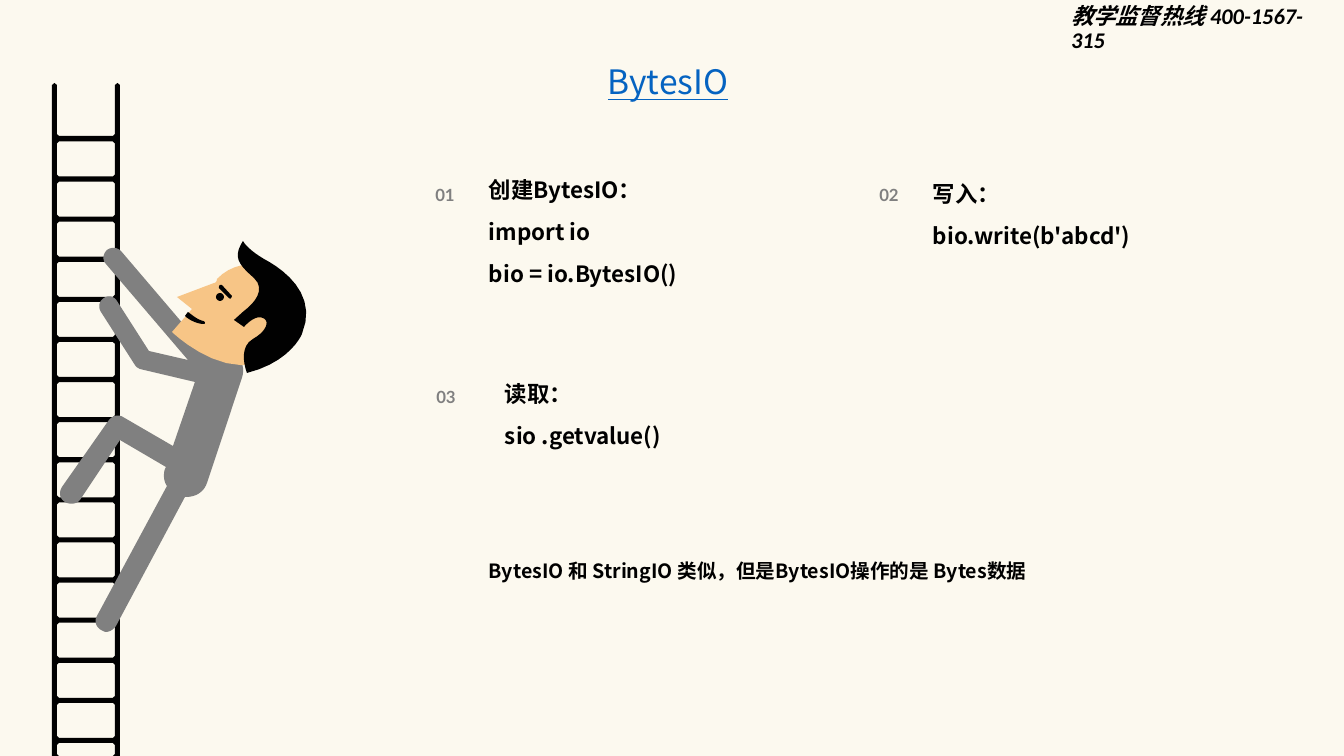
from dataclasses import dataclass

from pptx import Presentation
from pptx import util as u
from pptx.dml.color import RGBColor
from pptx.enum import shapes, text
from pptx.oxml import ns, xmlchemy

PX = 914400 / 100.8  # EMU per pixel


@dataclass(frozen=True)
class Theme:
    paper: str = "FCF9EF"
    ink: str = "000000"
    figure: str = "010101"
    suit: str = "808080"
    skin: str = "F7C586"
    link: str = "0563C1"
    main_font: str = "Noto Sans CJK SC"
    number_font: str = "Lato"
    hotline_font: str = "Calibri"
    title_size: int = 24
    step_size: int = 16
    note_size: int = 14
    number_size: int = 12
    line_pitch: int = 15


THEME = Theme()


def emu(pixels):
    return u.Emu(round(pixels * PX))


def paint(shape, color):
    shape.shadow.inherit = False
    shape.fill.solid()
    shape.fill.fore_color.rgb = RGBColor.from_string(color)
    shape.line.fill.background()


def outline(slide, origin, contours, color):
    """Draw closed contours, given as pixel points relative to origin."""
    placed = [[(emu(origin[0] + x), emu(origin[1] + y)) for x, y in contour]
              for contour in contours]
    builder = slide.shapes.build_freeform(*placed[0][0], scale=1.0)
    for index, contour in enumerate(placed):
        if index:
            builder.move_to(*contour[0])
        builder.add_line_segments(contour[1:], close=True)
    paint(builder.convert_to_shape(), color)


def trace(segments, steps=10):
    """Turn points (2 numbers) and Bezier curves (6 numbers) into one contour."""
    contour = []
    for segment in segments:
        if len(segment) == 2:
            contour.append(segment)
            continue
        (x0, y0), (x1, y1, x2, y2, x3, y3) = contour[-1], segment
        for t in (k / steps for k in range(1, steps + 1)):
            a, b, c, d = (1 - t) ** 3, 3 * t * (1 - t) ** 2, 3 * t * t * (1 - t), t ** 3
            contour.append((a * x0 + b * x1 + c * x2 + d * x3,
                            a * y0 + b * y1 + c * y2 + d * y3))
    return contour


def write(shape, box, words, font, size, color, insets=(10, 5), anchor=text.MSO_ANCHOR.TOP,
          align=text.PP_ALIGN.LEFT, spacing=None, gap=0, **style):
    """Place a text shape, fill it, and format its paragraphs and runs."""
    shape.left, shape.top, shape.width, shape.height = map(emu, box)
    frame = shape.text_frame
    frame.text = words
    frame.word_wrap = True
    frame.auto_size = text.MSO_AUTO_SIZE.NONE
    frame.vertical_anchor = anchor
    frame.margin_left = frame.margin_right = emu(insets[0])
    frame.margin_top = frame.margin_bottom = emu(insets[1])
    for index, paragraph in enumerate(frame.paragraphs):
        paragraph.alignment = align
        paragraph.line_spacing = spacing
        if index and gap:
            paragraph.space_before = u.Pt(gap)
        for run in paragraph.runs:
            run.font.name = font
            run.font.size = u.Pt(size)
            run.font.color.rgb = RGBColor.from_string(color)
            for name, value in style.items():
                setattr(run.font, name, value)
            east_asian = xmlchemy.OxmlElement("a:ea")
            east_asian.set("typeface", THEME.main_font)
            run.font._element.find(ns.qn("a:latin")).addnext(east_asian)


def text_box(slide, *args, **kwargs):
    write(slide.shapes.add_textbox(0, 0, 0, 0), *args, **kwargs)


def ladder(slide, box):
    left, top, width, height = box
    rail, first_window, pitch, window_height, corner = 5, 58.5, 40.1, 35, 2
    near, far = rail, width - rail
    frame = [(0, 2), (rail / 2, 0), (near, 2), (near, 51), (near + corner, 53),
             (far - corner, 53), (far, 51), (far, 2), (width - rail / 2, 0), (width, 2),
             (width, height), (0, height)]
    windows = []
    for index in range(int((height - first_window) / pitch) + 1):
        upper = first_window + index * pitch
        lower = min(upper + window_height, height)
        windows.append([(near + corner, upper), (near, upper + corner),
                        (near, lower - corner), (near + corner, lower),
                        (far - corner, lower), (far, lower - corner),
                        (far, upper + corner), (far - corner, upper)])
    outline(slide, (left, top), [frame, *windows], THEME.figure)


def climber(slide, origin):
    body = [(168, 110), (161, 108, 154, 110, 148, 113), (61, 11), (57, 7, 51, 7, 47, 10),
            (43, 14, 42, 20, 46, 24), (128, 120), (89, 111), (57, 61),
            (54, 56, 48, 55, 44, 58), (39, 61, 38, 67, 41, 72), (75, 125),
            (76, 127, 78, 128, 80, 129), (135, 142), (113, 206), (63, 177),
            (58, 174, 52, 176, 49, 180), (2, 247), (-1, 252, -1, 258, 5, 262),
            (10, 265, 17, 264, 20, 260), (60, 200), (106, 227), (105, 229),
            (103, 235, 104, 242, 107, 246), (37, 376), (34, 381, 36, 387, 41, 390),
            (43, 391, 45, 392, 46, 392), (50, 392, 54, 389, 56, 386), (125, 257),
            (126, 257), (136, 257, 144, 252, 147, 243), (182, 138),
            (186, 126, 180, 114, 168, 110)]
    face = [(154, 43), (155, 43), (156, 42, 157, 41, 157, 39), (174, 21, 203, 19, 221, 36),
            (244, 57, 245, 85, 228, 104), (180, 158, 112, 92, 112, 92), (132, 69), (117, 57)]
    hair = [(184, 71), (184, 71, 210, 53, 194, 38), (178, 24, 173, 17, 183, 1),
            (183, 1, 187, 9, 204, 19), (221, 28, 259, 53, 242, 94),
            (242, 94, 231, 122, 187, 133), (187, 133, 177, 108, 193, 99),
            (207, 91, 210, 81, 203, 78), (195, 74, 184, 87, 184, 87), (174, 80)]
    brow = [(160, 45), (159, 46, 159, 47, 159, 48), (169, 58), (170, 59, 171, 59, 171, 58),
            (172, 57, 172, 56, 172, 56), (162, 45)]
    mouth = [(145, 83), (145, 82, 144, 81, 143, 81), (136, 79, 131, 74, 128, 72), (125, 76),
             (126, 77), (130, 80, 135, 83, 142, 84), (144, 84, 145, 84, 145, 83)]
    for part, color in ((body, THEME.suit), (face, THEME.skin), (hair, THEME.figure),
                        (brow, THEME.figure), (mouth, THEME.figure)):
        outline(slide, origin, [trace(part)], color)
    eye = slide.shapes.add_shape(shapes.MSO_SHAPE.OVAL, emu(origin[0] + 156),
                                 emu(origin[1] + 53), emu(8), emu(8))
    paint(eye, THEME.figure)


def step(slide, box, number, number_at, words):
    """One numbered step: the number is offset from the corner of the text box."""
    pitch = u.Pt(THEME.line_pitch)
    dx, dy = number_at
    text_box(slide, (box[0] + dx, box[1] + dy, 96, 24), number, THEME.number_font,
             THEME.number_size, THEME.suit, insets=(5, 3), anchor=text.MSO_ANCHOR.MIDDLE,
             align=text.PP_ALIGN.CENTER, spacing=pitch, bold=True)
    text_box(slide, box, words, THEME.main_font, THEME.step_size, THEME.ink,
             spacing=pitch, gap=THEME.line_pitch, bold=True)


def main():
    deck = Presentation()
    deck.slide_width, deck.slide_height = emu(1344), emu(756)
    slide = deck.slides.add_slide(deck.slide_layouts[5])
    slide.background.fill.solid()
    slide.background.fill.fore_color.rgb = RGBColor.from_string(THEME.paper)

    # Title and hotline
    write(slide.shapes.title, (446, 56, 444, 50), "BytesIO", THEME.main_font,
          THEME.title_size, THEME.link, align=text.PP_ALIGN.CENTER, underline=True)
    text_box(slide, (1061, 0, 283, 39), "教学监督热线 400-1567-315", THEME.hotline_font,
             THEME.step_size, THEME.ink, spacing=0.9, bold=True, italic=True)

    # Illustration
    ladder(slide, (52, 83, 68, 673))
    climber(slide, (60, 240))

    # Steps
    step(slide, (479, 177, 323, 116), "01", (-82, 5),
         "创建BytesIO：\nimport io\nbio = io.BytesIO()")
    step(slide, (923, 181, 323, 74), "02", (-82, 1), "写入：\nbio.write(b'abcd')")
    step(slide, (495, 381, 323, 74), "03", (-97, 3), "读取：\nsio .getvalue()")

    # Closing note
    text_box(slide, (479, 556, 598, 31),
             "BytesIO 和 StringIO 类似，但是BytesIO操作的是 Bytes数据", THEME.main_font,
             THEME.note_size, THEME.ink, spacing=u.Pt(THEME.line_pitch), bold=True)

    deck.save("out.pptx")


main()
